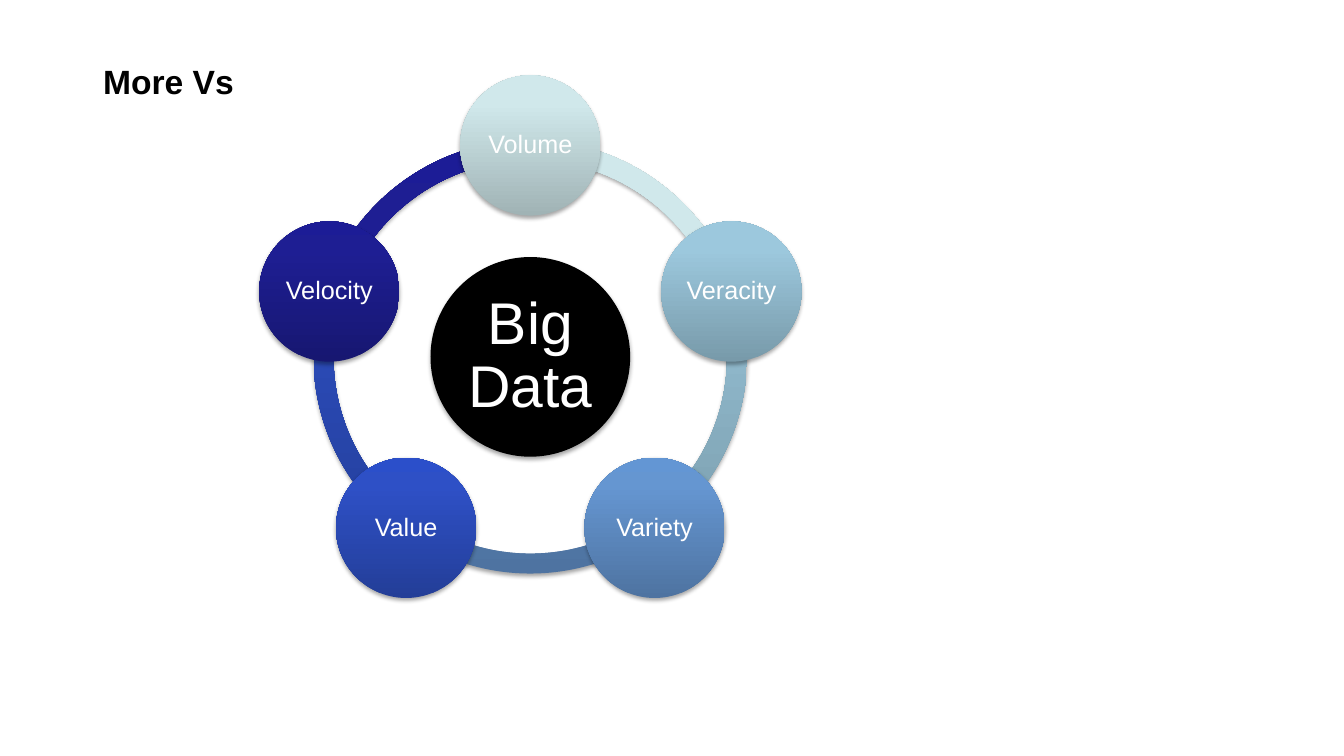
from copy import deepcopy
from dataclasses import dataclass
from math import cos, radians, sin

from lxml.etree import SubElement
from pptx import Presentation
from pptx.dml.color import RGBColor
from pptx.enum.shapes import MSO_SHAPE
from pptx.enum.text import MSO_ANCHOR, PP_ALIGN
from pptx.oxml.ns import qn
from pptx.shapes.autoshape import Shape
from pptx.slide import Slide
from pptx.util import Pt

COLORS = {"hub": "000000", "title": "000000", "label": "FFFFFF", "shadow": "000000"}
CENTER_X, CENTER_Y = 378.8, 254.9
RING_SIZE, RING_THICKNESS = 309.6, 0.046
ORBIT_RADIUS = 151
NODE_SIZE, HUB_SIZE = 100.2, 142.6
STOP_POSITIONS = (0, 0.8, 1)


@dataclass(frozen=True)
class Aspect:
    label: str
    gradient: tuple[str, str, str]


ASPECTS = [
    Aspect("Volume", ("A0B3B5", "D0E8EB", "D1EAEC")),
    Aspect("Veracity", ("789AAA", "9CC8DD", "9BC9DF")),
    Aspect("Variety", ("4E73A1", "6596D1", "6396D4")),
    Aspect("Value", ("233E98", "2E50C6", "2B4FCA")),
    Aspect("Velocity", ("171771", "1E1E93", "1C1C96")),
]
STEP = 360 / len(ASPECTS)


def add_shadow(shape: Shape) -> None:
    shape.shadow.inherit = False
    effects = shape._element.spPr.find(qn("a:effectLst"))
    outer = SubElement(effects, qn("a:outerShdw"), blurRad=str(Pt(3.1)),
                       dist=str(Pt(1.8)), dir="5400000", rotWithShape="0")
    color = SubElement(outer, qn("a:srgbClr"), val=COLORS["shadow"])
    SubElement(color, qn("a:alpha"), val="35000")


def fill_gradient(shape: Shape, colors: tuple[str, str, str]) -> None:
    """Fill from bottom to top with three stops."""
    shape.fill.gradient()
    shape.fill.gradient_angle = 90
    stop_list = shape._element.spPr.find(".//" + qn("a:gsLst"))
    stop_list.append(deepcopy(stop_list[0]))
    for stop, position, color in zip(shape.fill.gradient_stops, STOP_POSITIONS, colors):
        stop.position = position
        stop.color.rgb = RGBColor.from_string(color)


def add_centered(slide: Slide, kind: MSO_SHAPE, x: float, y: float, size: float) -> Shape:
    """Add an unlined, shadowed square-framed shape around the point x, y."""
    shape = slide.shapes.add_shape(kind, Pt(x - size / 2), Pt(y - size / 2), Pt(size), Pt(size))
    shape.line.fill.background()
    add_shadow(shape)
    return shape


def write_text(shape: Shape, text: str, color: str, font_format: dict,
               frame_format: dict, paragraph_format: dict) -> None:
    frame = shape.text_frame
    paragraph = frame.paragraphs[0]
    run = paragraph.add_run()
    run.text = text
    run.font.color.rgb = RGBColor.from_string(color)
    for target, values in ((frame, frame_format), (paragraph, paragraph_format),
                           (run.font, {"name": "Arial"} | font_format)):
        for attribute, value in values.items():
            setattr(target, attribute, value)


def label_circle(circle: Shape, text: str, size: float, inset: float) -> None:
    margins = {f"margin_{side}": Pt(inset) for side in ("left", "top", "right", "bottom")}
    write_text(circle, text, COLORS["label"], {"size": Pt(size)},
               {"word_wrap": True, "vertical_anchor": MSO_ANCHOR.MIDDLE} | margins,
               {"alignment": PP_ALIGN.CENTER, "line_spacing": 0.9})


def aspect_angle(index: int) -> float:
    """Degrees clockwise from the right, with the first aspect on top."""
    return (270 + index * STEP) % 360


def add_arc(slide: Slide, index: int, aspect: Aspect) -> None:
    """Add the ring segment that leads to the next aspect."""
    arc = add_centered(slide, MSO_SHAPE.BLOCK_ARC, CENTER_X, CENTER_Y, RING_SIZE)
    # Angles are stored in 60000ths of a degree, adjustments in 100000ths.
    arc.adjustments[0] = aspect_angle(index) * 0.6
    arc.adjustments[1] = aspect_angle(index + 1) * 0.6
    arc.adjustments[2] = RING_THICKNESS
    fill_gradient(arc, aspect.gradient)


def add_node(slide: Slide, index: int, aspect: Aspect) -> None:
    angle = radians(aspect_angle(index))
    node = add_centered(slide, MSO_SHAPE.OVAL, CENTER_X + ORBIT_RADIUS * cos(angle),
                        CENTER_Y + ORBIT_RADIUS * sin(angle), NODE_SIZE)
    fill_gradient(node, aspect.gradient)
    label_circle(node, aspect.label, 18, 2)


def add_hub(slide: Slide) -> None:
    hub = add_centered(slide, MSO_SHAPE.OVAL, CENTER_X, CENTER_Y, HUB_SIZE)
    hub.fill.solid()
    hub.fill.fore_color.rgb = RGBColor.from_string(COLORS["hub"])
    label_circle(hub, "Big Data", 42, 4.2)


def main() -> None:
    presentation = Presentation()
    presentation.slide_width, presentation.slide_height = Pt(960), Pt(540)
    slide = presentation.slides.add_slide(presentation.slide_layouts[6])

    for index, aspect in reversed(list(enumerate(ASPECTS))):
        add_arc(slide, index, aspect)
    add_hub(slide)
    for index, aspect in enumerate(ASPECTS):
        add_node(slide, index, aspect)

    title = slide.shapes.add_textbox(Pt(66.5), Pt(39.8), Pt(142.6), Pt(36))
    write_text(title, "More Vs", COLORS["title"], {"size": Pt(24), "bold": True},
               {"word_wrap": True}, {})
    presentation.save("out.pptx")


if __name__ == "__main__":
    main()
